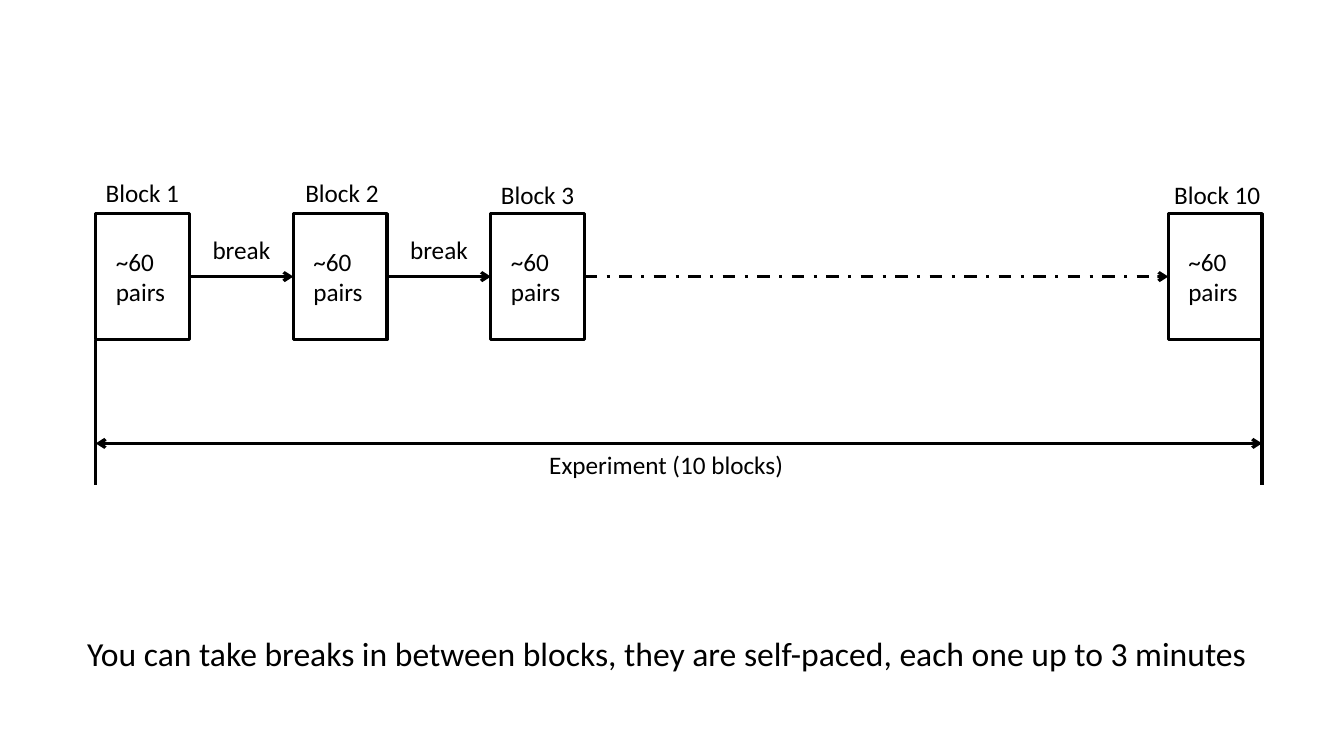
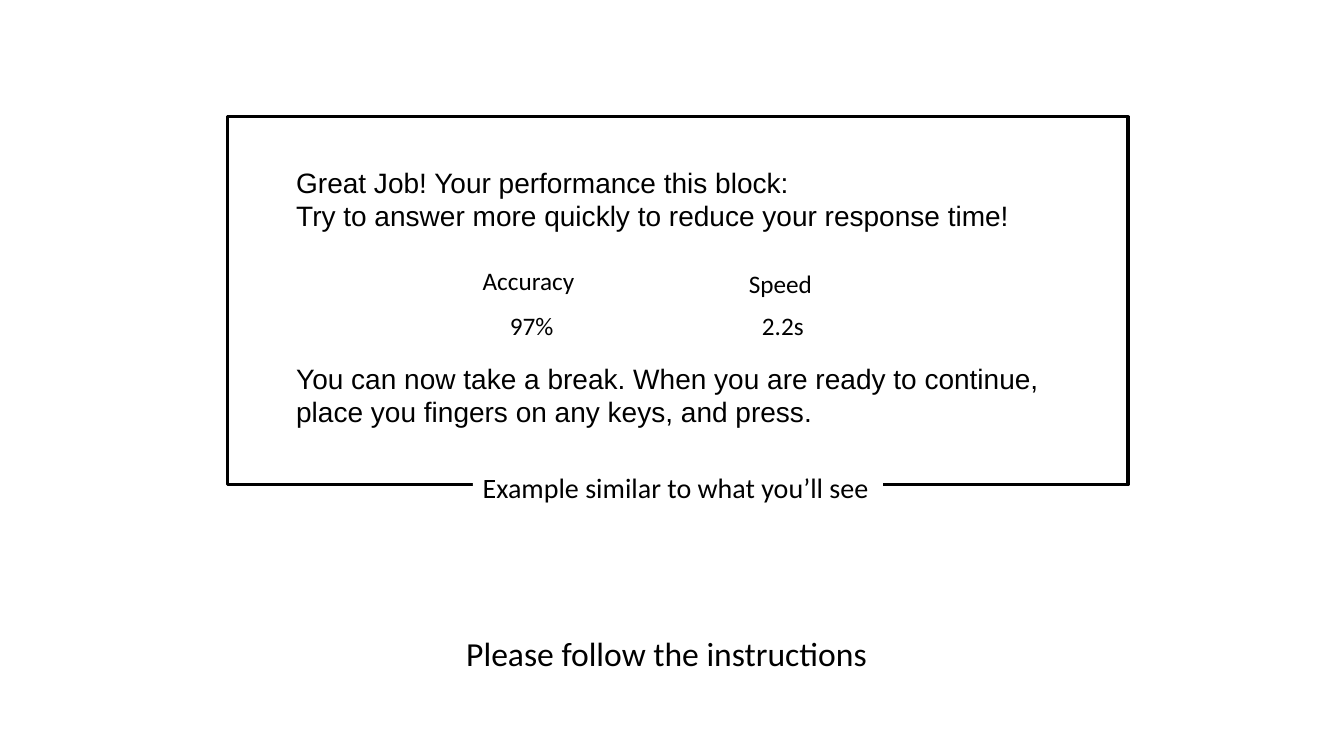
from lxml import etree
from pptx import Presentation
from pptx.dml.color import RGBColor
from pptx.enum.dml import MSO_LINE
from pptx.enum.shapes import MSO_CONNECTOR, MSO_SHAPE
from pptx.enum.text import MSO_AUTO_SIZE, PP_ALIGN
from pptx.oxml.ns import qn
from pptx.util import Inches, Pt

WIDE, HIGH = Inches(13.33), Inches(7.5)
UNIT = WIDE / 40  # side of one square grid cell
INK, PAPER = "000000", "FFFFFF"
STROKE = Pt(2.25)
RECT, LINE = MSO_SHAPE.RECTANGLE, MSO_CONNECTOR.STRAIGHT
DASH = MSO_LINE.DASH_DOT
LEFT, MID = PP_ALIGN.LEFT, PP_ALIGN.CENTER
FIT = MSO_AUTO_SIZE.SHAPE_TO_FIT_TEXT
ROW = 1.2  # height of a one-line label

# Name, left edge in the timeline, shift and rise of the label
STEP, LAST = 5.88, 31.92
BLOCKS = [("Block 1", 0, 0, 1.23), ("Block 2", STEP, 0.06, 1.23),
          ("Block 3", 2 * STEP, 0, 1.17), ("Block 10", LAST, -0.12, 1.17)]
SIZE = (2.79, 3.75)

# Text, left, top and width in the card
SCORES = [("Accuracy", 7.29, 4.26, 3.54), ("Speed", 15.21, 4.35, 2.52),
          ("97%", 8.1, 5.61, 1.92), ("2.2s", 15.6, 5.61, 1.86)]
MESSAGE = ["Great Job! Your performance this block:",
           "Try to answer more quickly to reduce your response time!",
           "You can now take a break. When you are ready to continue, "
           "place you fingers on any keys, and press."]


def paint(code):
    """Turn a hex string into a colour."""
    return RGBColor.from_string(code)


def grid(*cells):
    """Turn grid cells into slide lengths."""
    return [round(cell * UNIT) for cell in cells]


def style(item, **form):
    """Set each format value on an item."""
    for key, value in form.items():
        setattr(item, key, value)


def write(shape, lines, size=18, font="Calibri", align=LEFT, wrap=False):
    """Write one paragraph per line into a shape."""
    frame = shape.text_frame
    style(frame, text="\n".join(lines), word_wrap=wrap, auto_size=FIT)
    for para in frame.paragraphs:
        para.alignment = align
        style(para.font, name=font, size=Pt(size))
        para.font.color.rgb = paint(INK)
    return frame


def label(shapes, box, *lines, **form):
    """Add a text box."""
    return write(shapes.add_textbox(*grid(*box)), lines, **form)


def frame(shapes, box):
    """Add an outlined, unfilled rectangle."""
    shape = shapes.add_shape(RECT, *grid(*box))
    shape.shadow.inherit = False
    shape.fill.background()
    shape.line.color.rgb = paint(INK)
    shape.line.width = STROKE
    return shape


def rule(shapes, start, end, tips=(), dash=None):
    """Add a line with arrowheads at the named ends."""
    link = shapes.add_connector(LINE, *grid(*start, *end))
    link.line.color.rgb = paint(INK)
    style(link.line, width=STROKE, dash_style=dash)
    props = link._element.spPr
    for tip in tips:
        etree.SubElement(props.find(qn("a:ln")), qn(f"a:{tip}"), type="arrow")
    etree.SubElement(props, qn("a:effectLst"))


def block(shapes, box):
    """Draw one block of pairs as a group."""
    x, y, _, _ = box
    parts = shapes.add_group_shape().shapes
    frame(parts, box)
    label(parts, (x + 0.3, y + 0.81, 2.7, 2.13), "~60", "pairs")


def timeline(shapes, box):
    """Draw the blocks, the breaks between them and the full span."""
    x, y, w, h = box
    wide, high = SIZE
    axis = y + high / 2
    for name, left, shift, rise in BLOCKS:
        block(shapes, (x + left, y, wide, high))
        label(shapes, (x + left + shift, y - rise, 0.36 * len(name) + 0.3, ROW), name)
    for (_, left, _, _), (_, right, _, _) in zip(BLOCKS, BLOCKS[1:]):
        edge = x + left + wide
        far = right == LAST
        rule(shapes, (edge, axis), (x + right, axis), ["tailEnd"], DASH if far else None)
        if not far:
            label(shapes, (edge + 0.39, y + 0.48, 2.34, ROW), "break")
    for side in (x, x + w):
        rule(shapes, (side, y + high), (side, y + h))
    span = y + 6.84
    rule(shapes, (x, span), (x + w, span), ["headEnd", "tailEnd"])
    label(shapes, (x + 13.2, span + 0.03, 7.65, ROW), "Experiment (10 blocks)")


def card(shapes, box):
    """Draw the feedback screen with its tag on the lower edge."""
    x, y, _, _ = box
    frame(shapes, box)
    tag = frame(shapes, (x + 7.29, y + 10.38, 12.21, 1.32))
    tag.fill.solid()
    tag.fill.fore_color.rgb = paint(PAPER)
    tag.line.fill.background()
    write(tag, ["Example similar to what you’ll see"], size=20)
    text = label(shapes, (x + 1.74, y + 1.29, 23.34, 8.37), *MESSAGE,
                 size=20, font="Arial", wrap=True)
    text.paragraphs[-1].space_before = Pt(92)
    for score, left, top, wide in SCORES:
        label(shapes, (x + left, y + top, wide, ROW), score)


def page(deck, draw, box, note, wide):
    """Add a slide with one main region and a caption below."""
    shapes = deck.slides.add_slide(deck.slide_layouts[6]).shapes
    draw(shapes, box)
    label(shapes, (19.84 - wide / 2, 18.7, wide, 1.5), note, size=24, align=MID)


def main():
    """Build and save the deck."""
    deck = Presentation()
    style(deck, slide_width=WIDE, slide_height=HIGH)
    page(deck, timeline, (2.85, 6.36, 34.71, 8.07),
         "You can take breaks in between blocks, they are self-paced, "
         "each one up to 3 minutes", 35.46)
    page(deck, card, (6.78, 3.48, 26.79, 10.95),
         "Please follow the instructions", 12.87)
    deck.save("out.pptx")


main()
